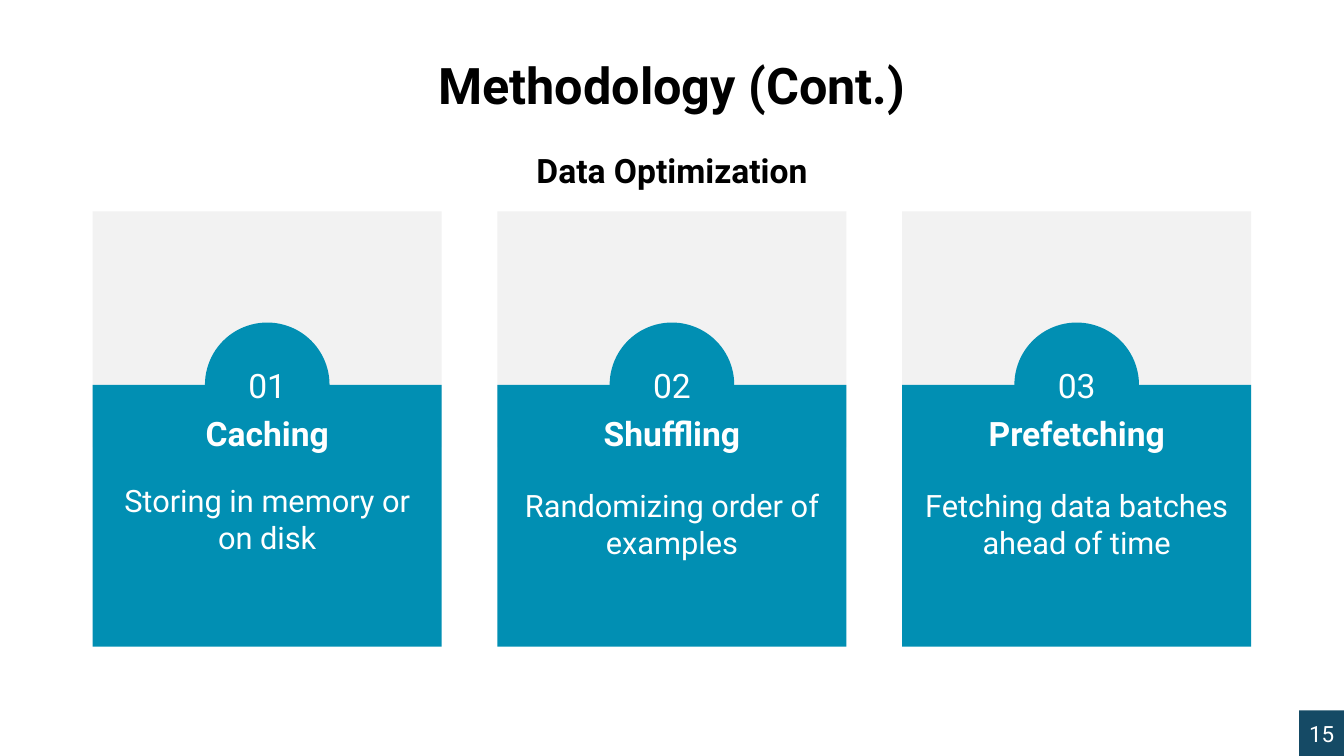
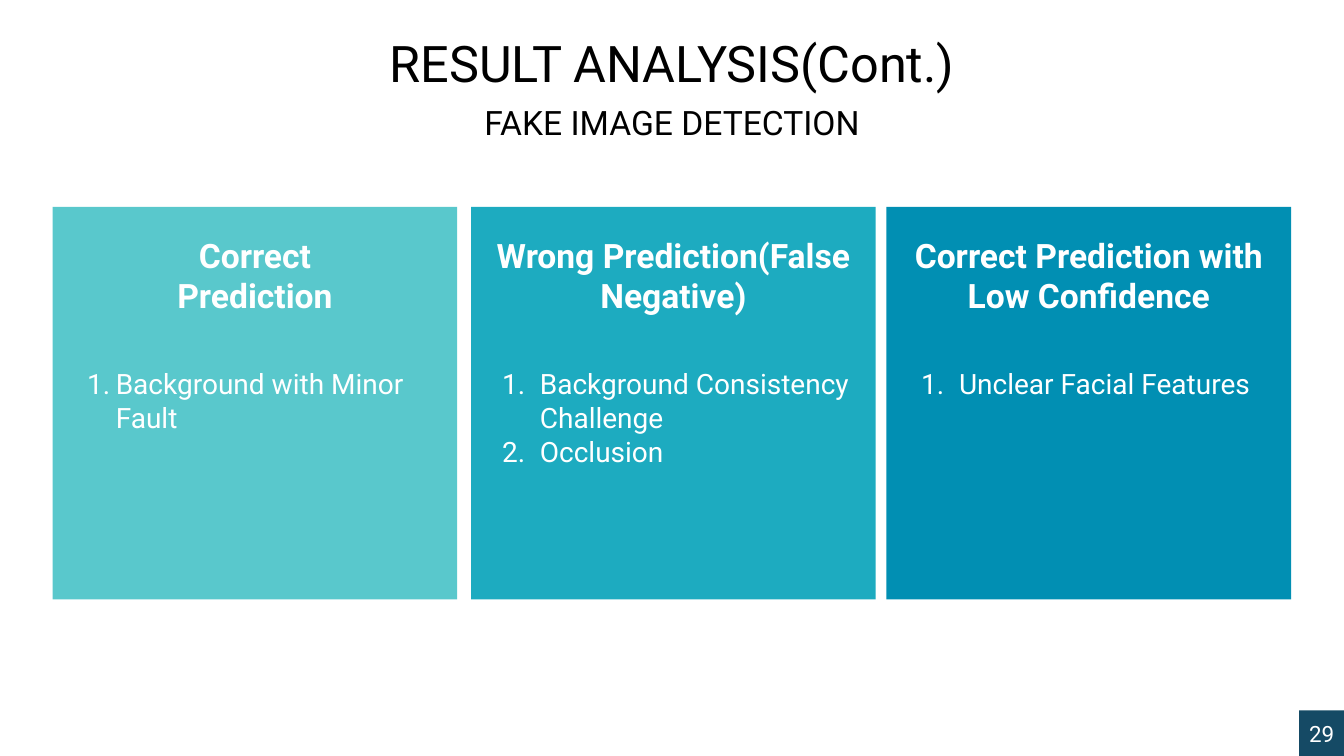
import lxml.etree
import pptx
import pptx.dml.color
import pptx.enum.shapes
import pptx.enum.text
import pptx.oxml.ns
import pptx.util

Pt = pptx.util.Pt
qn = pptx.oxml.ns.qn
SHAPE = pptx.enum.shapes.MSO_SHAPE
ANCHOR = pptx.enum.text.MSO_ANCHOR
ALIGN = pptx.enum.text.PP_ALIGN
color = pptx.dml.color.RGBColor.from_string

FONT = "Roboto"
BLACK, WHITE, GREY = "000000", "FFFFFF", "F2F2F2"
NAVY, BLUE, TEAL, AQUA = "154A65", "018FB3", "1DABC0", "59C8CC"


def write(sp, text, size, ink=WHITE, bold=False, align=ALIGN.CENTER,
          anchor=ANCHOR.MIDDLE, spacing=None, hanging=None):
    """Fill a shape with one paragraph per line; hanging numbers them."""
    tf = sp.text_frame
    tf.word_wrap = True
    tf.auto_size = pptx.enum.text.MSO_AUTO_SIZE.NONE
    tf.vertical_anchor = anchor
    tf.margin_left = tf.margin_right = 0
    tf.margin_top = tf.margin_bottom = Pt(3.6)
    for i, line in enumerate(text.split("\n")):
        p = tf.paragraphs[0] if i == 0 else tf.add_paragraph()
        p.text = line
        if hanging:
            pPr = p._p.get_or_add_pPr()
            pPr.set("marL", str(Pt(hanging)))
            pPr.set("indent", str(-Pt(hanging)))
            clr = lxml.etree.SubElement(pPr, qn("a:buClr"))
            lxml.etree.SubElement(clr, qn("a:srgbClr"), val=ink)
            lxml.etree.SubElement(pPr, qn("a:buAutoNum"), type="arabicPeriod")
        p.alignment = align
        if spacing:
            p.line_spacing = spacing
        for r in p.runs:
            r.font.name = FONT
            r.font.size = Pt(size)
            r.font.bold = bold
            r.font.color.rgb = color(ink)


def add(s, left, top, width, height, fill=None, shape=SHAPE.RECTANGLE):
    """Add a plain filled shape, or a text box when there is no fill."""
    box = [Pt(v) for v in (left, top, width, height)]
    if fill is None:
        return s.shapes.add_textbox(*box)
    sp = s.shapes.add_shape(shape, *box)
    sp.shadow.inherit = False
    sp.fill.solid()
    sp.fill.fore_color.rgb = color(fill)
    sp.line.fill.background()
    return sp


prs = pptx.Presentation()
prs.slide_width, prs.slide_height = Pt(960), Pt(540)

# Title and page number of every slide
slides = []
for title, bold, top, number in [
    ("Methodology (Cont.)", True, 39.6, "15"),
    ("RESULT ANALYSIS(Cont.)", False, 23.8, "29"),
]:
    s = prs.slides.add_slide(prs.slide_layouts[5])
    write(add(s, 928, 507.5, 32, 32.5, NAVY), number, 16)
    sp = s.shapes.title
    sp.left, sp.top, sp.width, sp.height = Pt(140), Pt(top), Pt(680), Pt(46)
    write(sp, title, 36, BLACK, bold=bold, anchor=ANCHOR.BOTTOM)
    slides.append(s)
methodology, results = slides

# Methodology: three numbered cards
write(add(methodology, 140, 98, 680, 46), "Data Optimization", 24, BLACK,
      bold=True, anchor=ANCHOR.TOP, spacing=1.2)
CARD_W, CIRCLE, DETAIL_W = 249.4, 89, 222
for i, (heading, detail, middle) in enumerate([
    ("Caching", "Storing in memory or on disk", 370.5),
    ("Shuffling", "Randomizing order of examples", 374),
    ("Prefetching", "Fetching data batches ahead of time", 374),
]):
    left = 66.2 + i * 289.1
    center = left + CARD_W / 2
    add(methodology, left, 151, CARD_W, 168.5, GREY)
    add(methodology, left, 275, CARD_W, 187, BLUE)
    write(add(methodology, center - CIRCLE / 2, 230.4, CIRCLE, CIRCLE, BLUE,
              SHAPE.OVAL), f"{i + 1:02}", 24)
    write(add(methodology, left, 287, CARD_W, 44), heading, 24, bold=True)
    write(add(methodology, center - DETAIL_W / 2, middle - 39, DETAIL_W, 78),
          detail, 22)

# Results: three outcome panels
write(add(results, 317, 69, 326, 36), "FAKE IMAGE DETECTION", 24, BLACK,
      anchor=ANCHOR.BOTTOM)
PANEL_W = 289
for left, fill, heading, causes, list_left, hanging in [
    (37.6, AQUA, "Correct\vPrediction", "Background with Minor Fault", 62.2, 20.5),
    (336.5, TEAL, "Wrong Prediction(False Negative)",
     "Background Consistency Challenge\nOcclusion", 358.6, 27),
    (633.2, BLUE, "Correct Prediction with Low Confidence",
     "Unclear Facial Features", 658, 27),
]:
    add(results, left, 147.8, PANEL_W, 280.4, fill)
    write(add(results, left, 170, PANEL_W, 59), heading, 24, bold=True,
          anchor=ANCHOR.BOTTOM)
    write(add(results, list_left, 258.5, 254, 80), causes, 20,
          align=ALIGN.LEFT, anchor=ANCHOR.TOP, hanging=hanging)

prs.save("out.pptx")
